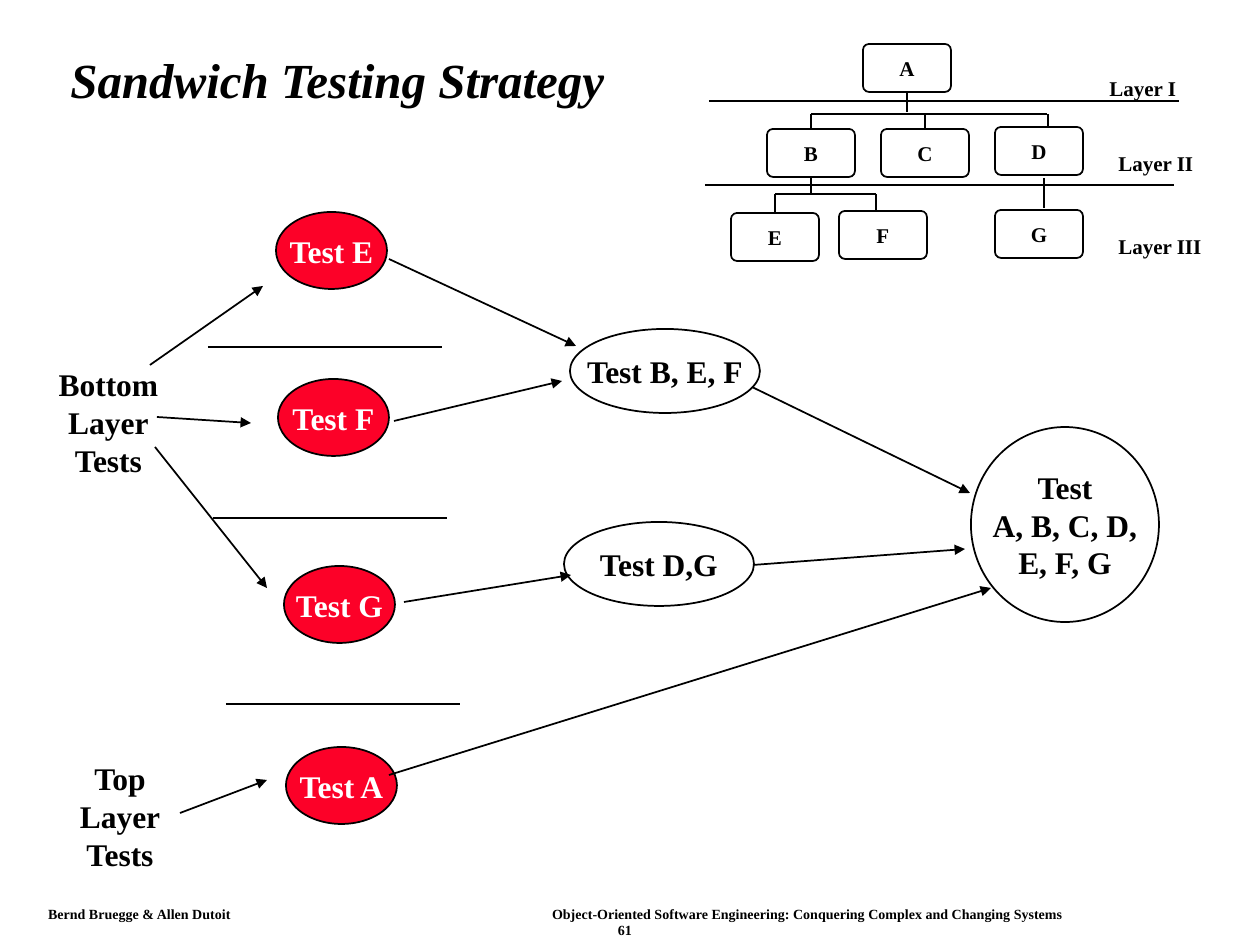
"""Build the Sandwich Testing Strategy slide."""
from lxml.etree import SubElement
from pptx import Presentation
from pptx.dml.color import RGBColor
from pptx.enum.shapes import MSO_CONNECTOR, MSO_SHAPE
from pptx.enum.text import MSO_ANCHOR, PP_ALIGN
from pptx.oxml.ns import qn
from pptx.util import Pt

PX = 914400 / 126
FONT = "Times New Roman"
COLORS = {"ink": "000000", "paper": "FFFFFF", "layer_test": "FC0128"}
TOP, BOTTOM = 0, 2

TITLE = ("Sandwich Testing Strategy", 58, 30, 1124, 97)
FOOTER = [
    ("Bernd Bruegge & Allen Dutoit", 48, 906),
    ("Object-Oriented Software Engineering: Conquering Complex and Changing Systems", 552, 906),
    ("61", 618, 922),
]

MODULE_SIZE = (88, 48)
MODULES = {
    "A": (863, 44), "B": (767, 129), "C": (881, 129), "D": (995, 127),
    "E": (731, 213), "F": (839, 211), "G": (995, 210),
}
STEMS = [("A", BOTTOM, 112), ("B", TOP, 114), ("C", TOP, 114),
         ("B", BOTTOM, 194), ("E", TOP, 194)]
TREE_LINES = [
    (811, 114, 1047, 114), (1048, 114, 1048, 126),
    (775, 194, 876, 194), (876, 194, 876, 211), (1044, 178, 1044, 208),
]
LAYER_BOUNDARIES = [(709, 101, 1179, 101), (705, 185, 1174, 185)]
LAYER_LABELS = [("Layer I", 1097, 69, 92), ("Layer II", 1106, 144, 101),
                ("Layer III", 1106, 227, 108)]

LAYER_TEST_SIZE = (111, 77)
LAYER_TESTS = [("Test E", 276, 212), ("Test F", 278, 379),
               ("Test G", 284, 566), ("Test A", 286, 747)]
COMBINED_TESTS = [
    ("Test B, E, F", 570, 329, 190, 84),
    ("Test D,G", 564, 522, 190, 84),
    ("Test\nA, B, C, D,\nE, F, G", 971, 427, 188, 195),
]
GROUP_LABELS = [("Bottom\nLayer\nTests", 46, 359, 125),
                ("Top\nLayer\nTests", 67, 753, 106)]
SEPARATOR_WIDTH = 234
SEPARATORS = [(208, 347), (213, 518), (226, 704)]
ARROWS = [
    (389, 259, 576, 346), (394, 421, 562, 381), (404, 602, 571, 575),
    (752, 387, 970, 493), (389, 775, 991, 588), (753, 565, 965, 549),
    (150, 365, 263, 286), (157, 417, 251, 423), (155, 447, 267, 588),
    (180, 813, 267, 780),
]


def px(*lengths):
    return [round(length * PX) for length in lengths]


def color(name):
    return RGBColor.from_string(COLORS[name])


def write(frame, text, size, ink="ink", align=PP_ALIGN.CENTER, italic=False, wrap=False):
    frame.word_wrap = wrap
    frame.text = text
    for paragraph in frame.paragraphs:
        paragraph.alignment = align
        for run in paragraph.runs:
            font = run.font
            font.name, font.size, font.bold, font.italic = FONT, Pt(size), True, italic
            font.color.rgb = color(ink)


def add_label(slide, text, box, size, align=PP_ALIGN.LEFT):
    frame = slide.shapes.add_textbox(*px(*box)).text_frame
    write(frame, text, size, align=align)
    return frame


def add_node(slide, kind, text, box, size, fill=None):
    node = slide.shapes.add_shape(kind, *px(*box))
    node.shadow.inherit = False
    if fill:
        node.fill.solid()
        node.fill.fore_color.rgb = color(fill)
    else:
        node.fill.background()
    node.line.color.rgb = color("ink")
    node.line.width = Pt(1)
    node.text_frame.vertical_anchor = MSO_ANCHOR.MIDDLE
    write(node.text_frame, text, size, ink="paper" if fill else "ink")
    return node


def add_line(slide, ends, arrow=False):
    line = slide.shapes.add_connector(MSO_CONNECTOR.STRAIGHT, *px(*ends))
    line.line.color.rgb = color("ink")
    line.line.width = Pt(1)
    if arrow:
        SubElement(line.line._get_or_add_ln(), qn("a:tailEnd"), type="triangle")
    SubElement(line._element.spPr, qn("a:effectLst"))
    return line


def add_module_tree(slide):
    width, height = MODULE_SIZE
    modules = {}
    for name, corner in MODULES.items():
        module = add_node(slide, MSO_SHAPE.ROUNDED_RECTANGLE, name, corner + MODULE_SIZE, 12)
        module.adjustments[0] = 0.125
        modules[name] = module
    for name, side, bus_y in STEMS:
        left, top = MODULES[name]
        center = left + width / 2
        edge = top + (height if side == BOTTOM else 0)
        stem = add_line(slide, (center, edge, center, bus_y))
        stem.begin_connect(modules[name], side)
    for ends in TREE_LINES + LAYER_BOUNDARIES:
        add_line(slide, ends)
    for text, left, top, label_width in LAYER_LABELS:
        add_label(slide, text, (left, top, label_width, 38), 12)


def add_test_flow(slide):
    for text, *corner in LAYER_TESTS:
        add_node(slide, MSO_SHAPE.OVAL, text, (*corner, *LAYER_TEST_SIZE), 18, "layer_test")
    for text, *box in COMBINED_TESTS:
        add_node(slide, MSO_SHAPE.OVAL, text, box, 18)
    for text, left, top, width in GROUP_LABELS:
        add_label(slide, text, (left, top, width, 126), 18, PP_ALIGN.CENTER)
    for left, y in SEPARATORS:
        add_line(slide, (left, y, left + SEPARATOR_WIDTH, y))
    for ends in ARROWS:
        add_line(slide, ends, arrow=True)


def main():
    deck = Presentation()
    deck.slide_width, deck.slide_height = px(1260, 945)
    slide = deck.slides.add_slide(deck.slide_layouts[6])

    text, *box = TITLE
    title = slide.shapes.add_textbox(*px(*box)).text_frame
    title.vertical_anchor = MSO_ANCHOR.MIDDLE
    write(title, text, 28, align=PP_ALIGN.LEFT, italic=True, wrap=True)

    add_module_tree(slide)
    add_test_flow(slide)

    for text, left, top in FOOTER:
        frame = add_label(slide, text, (left, top, 520, 16), 8)
        frame.margin_left = frame.margin_right = 0
        frame.margin_top = frame.margin_bottom = 0
        frame.word_wrap = True
    deck.save("out.pptx")


if __name__ == "__main__":
    main()
